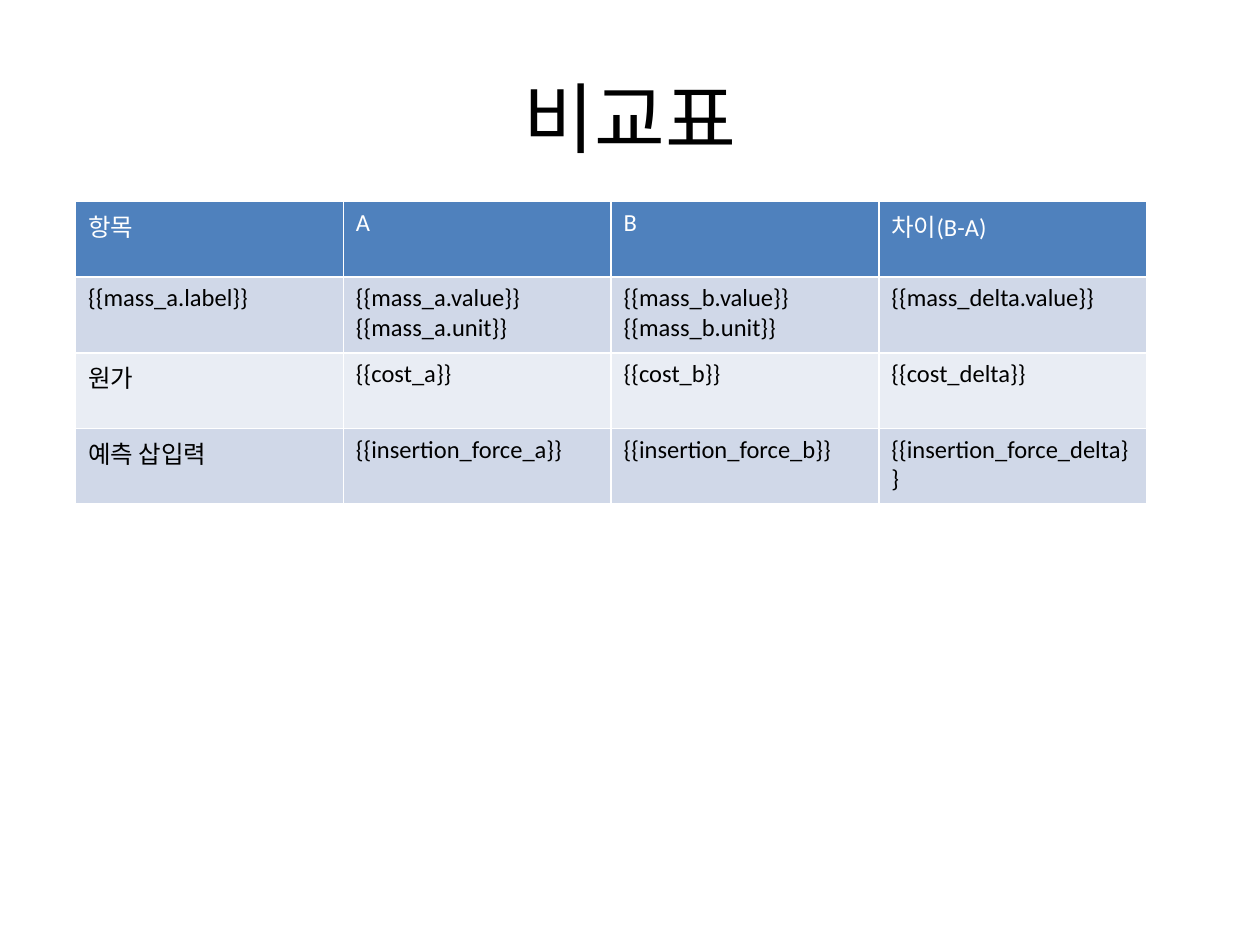
from pptx import Presentation
from pptx.dml.color import RGBColor as RGB
from pptx.enum.text import MSO_ANCHOR as ANCHOR, PP_ALIGN as ALIGN
from pptx.util import Inches

COLORS = {"header": "4F81BD", "odd": "D0D8E8", "even": "E9EDF4",
          "light": "FFFFFF", "dark": "000000"}
ROWS = [
    ["항목", "A", "B", "차이(B-A)"],
    ["{{mass_a.label}}", "{{mass_a.value}} {{mass_a.unit}}",
     "{{mass_b.value}} {{mass_b.unit}}", "{{mass_delta.value}}"],
    ["원가", "{{cost_a}}", "{{cost_b}}", "{{cost_delta}}"],
    ["예측 삽입력", "{{insertion_force_a}}", "{{insertion_force_b}}",
     "{{insertion_force_delta}}"],
]


def write(tf, text, size=14, color="dark", align=ALIGN.LEFT):
    p = tf.paragraphs[0]
    p.alignment = align
    r = p.add_run()
    r.text = text
    r.font.name = "Calibri"
    r.font.size = Inches(size / 72)
    r.font.bold = False
    r.font.color.rgb = RGB.from_string(COLORS[color])


prs = Presentation()
prs.slide_width, prs.slide_height = Inches(10), Inches(7.5)
W, H = prs.slide_width, prs.slide_height
s = prs.slides.add_slide(prs.slide_layouts[5])

title = s.shapes.title
title.left, title.top = int(W * 0.05), int(H * 0.04)
title.width, title.height = int(W * 0.9), Inches(1.25)
title.text_frame.vertical_anchor = ANCHOR.MIDDLE
write(title.text_frame, "비교표", size=44, align=ALIGN.CENTER)

table = s.shapes.add_table(len(ROWS), len(ROWS[0]), int(W * 0.06), Inches(1.6),
                           int(W * 0.85), int(H * 0.32)).table
for i, row in enumerate(ROWS):
    fill = "header" if i == 0 else "odd" if i % 2 else "even"
    for j, text in enumerate(row):
        cell = table.cell(i, j)
        cell.fill.solid()
        cell.fill.fore_color.rgb = RGB.from_string(COLORS[fill])
        write(cell.text_frame, text, color="dark" if i else "light")

prs.save("out.pptx")
